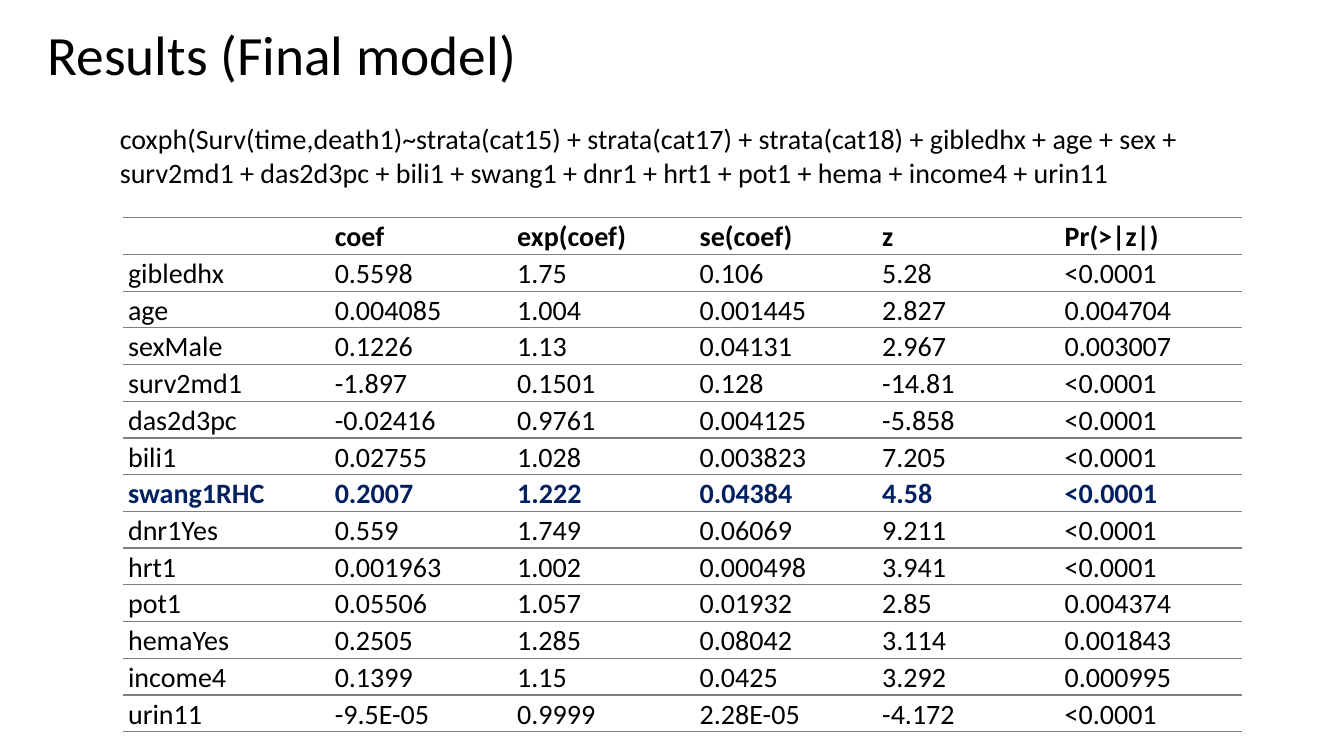
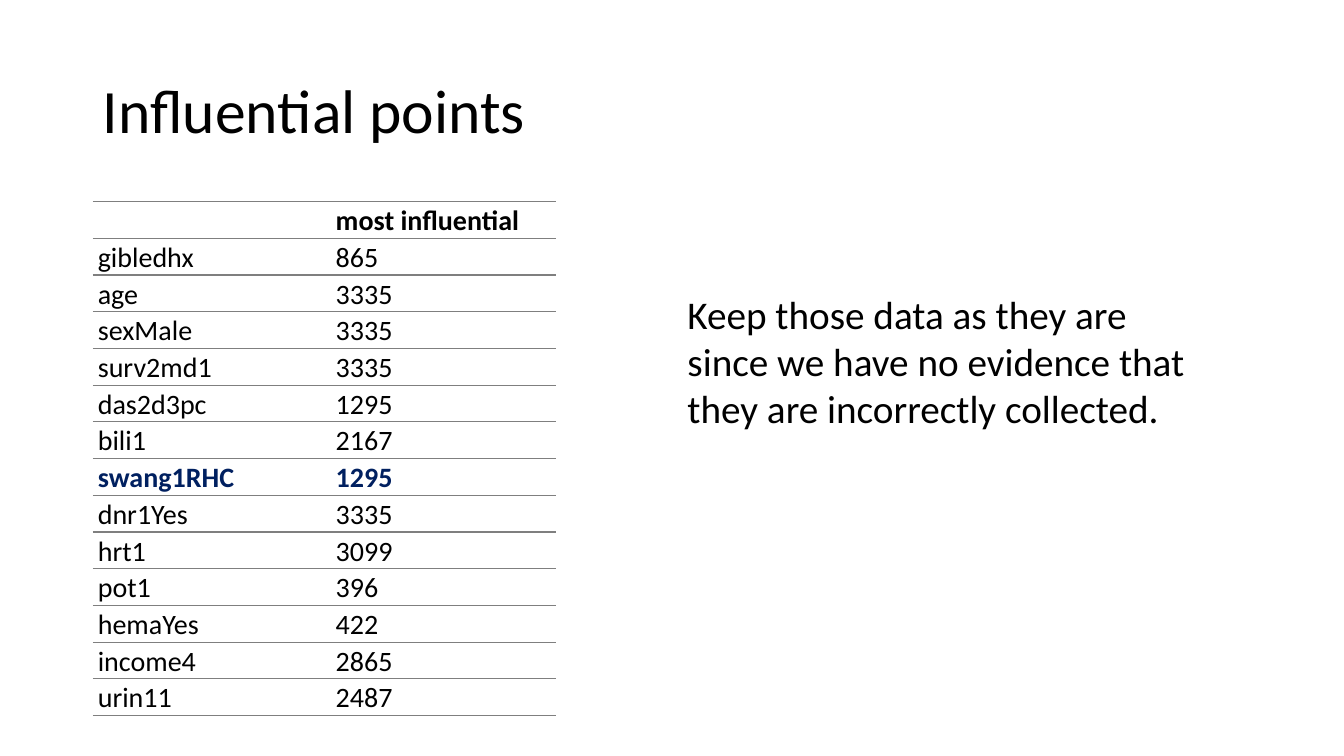
from lxml import etree
from pptx import Presentation
from pptx import util as u
from pptx.dml.color import RGBColor
from pptx.enum import text
from pptx.oxml import ns

SCALE = 9144
FONT = "Calibri"
BLACK = RGBColor(0x00, 0x00, 0x00)
NAVY = RGBColor(0x00, 0x20, 0x60)
GRAY = RGBColor(0x7F, 0x7F, 0x7F)
PLAIN_TABLE = "{2D5ABB26-0587-4C30-8999-92F81FD0307C}"
TITLE_ONLY = 5
ROW_HEIGHT = 36
HIGHLIGHT = "swang1RHC"

FORMULA = (
    "coxph(Surv(time,death1)~strata(cat15) + strata(cat17) + strata(cat18) + "
    "gibledhx + age + sex + surv2md1 + das2d3pc + bili1 + swang1 + dnr1 + "
    "hrt1 + pot1 + hema + income4 + urin11"
)
CONCLUSION = (
    "Keep those data as they are since we have no evidence that "
    "they are incorrectly collected."
)
MODEL_ROWS = [
    ("", "coef", "exp(coef)", "se(coef)", "z", "Pr(>|z|)"),
    ("gibledhx", "0.5598", "1.75", "0.106", "5.28", "<0.0001"),
    ("age", "0.004085", "1.004", "0.001445", "2.827", "0.004704"),
    ("sexMale", "0.1226", "1.13", "0.04131", "2.967", "0.003007"),
    ("surv2md1", "-1.897", "0.1501", "0.128", "-14.81", "<0.0001"),
    ("das2d3pc", "-0.02416", "0.9761", "0.004125", "-5.858", "<0.0001"),
    ("bili1", "0.02755", "1.028", "0.003823", "7.205", "<0.0001"),
    ("swang1RHC", "0.2007", "1.222", "0.04384", "4.58", "<0.0001"),
    ("dnr1Yes", "0.559", "1.749", "0.06069", "9.211", "<0.0001"),
    ("hrt1", "0.001963", "1.002", "0.000498", "3.941", "<0.0001"),
    ("pot1", "0.05506", "1.057", "0.01932", "2.85", "0.004374"),
    ("hemaYes", "0.2505", "1.285", "0.08042", "3.114", "0.001843"),
    ("income4", "0.1399", "1.15", "0.0425", "3.292", "0.000995"),
    ("urin11", "-9.5E-05", "0.9999", "2.28E-05", "-4.172", "<0.0001"),
]
MOST_INFLUENTIAL = [
    "most influential", "865", "3335", "3335", "3335", "1295", "2167",
    "1295", "3335", "3099", "396", "422", "2865", "2487",
]


def px(length):
    return u.Emu(length * SCALE)


def write(frame, words, size=20, color=BLACK, bold=False, spacing=None):
    para = frame.paragraphs[0]
    para.alignment = text.PP_ALIGN.LEFT
    para.line_spacing = spacing
    if not words:
        return
    span = para.add_run()
    span.text = words
    span.font.name = FONT
    span.font.size = u.Pt(size)
    span.font.bold = bold
    span.font.color.rgb = color


def add_page(deck, title, left, top, width, height, size):
    page = deck.slides.add_slide(deck.slide_layouts[TITLE_ONLY])
    box = page.shapes.title
    box.left, box.top, box.width, box.height = map(px, (left, top, width, height))
    frame = box.text_frame
    frame.auto_size = text.MSO_AUTO_SIZE.NONE
    frame.vertical_anchor = text.MSO_ANCHOR.MIDDLE
    write(frame, title, size=size, spacing=0.9)
    return page


def add_text(page, words, left, top, width, height, size):
    box = page.shapes.add_textbox(*map(px, (left, top, width, height)))
    frame = box.text_frame
    frame.word_wrap = True
    frame.auto_size = text.MSO_AUTO_SIZE.SHAPE_TO_FIT_TEXT
    write(frame, words, size=size)


def rule_cell(cell):
    properties = cell._tc.get_or_add_tcPr()
    for side in ("a:lnT", "a:lnB"):
        line = etree.SubElement(properties, ns.qn(side), w=str(u.Pt(1)))
        fill = etree.SubElement(line, ns.qn("a:solidFill"))
        etree.SubElement(fill, ns.qn("a:srgbClr"), val=str(GRAY))
    cell.fill.background()


def add_table(page, rows, left, top, widths):
    size = (sum(widths), ROW_HEIGHT * len(rows))
    frame = page.shapes.add_table(
        len(rows), len(widths), *map(px, (left, top, *size)))
    table = frame.table
    table.horz_banding = False
    table._tbl.tblPr.find(ns.qn("a:tableStyleId")).text = PLAIN_TABLE
    for column, width in zip(table.columns, widths):
        column.width = px(width)
    for index, (row, values) in enumerate(zip(table.rows, rows)):
        row.height = px(ROW_HEIGHT)
        marked = values[0] == HIGHLIGHT
        for cell, value in zip(row.cells, values):
            cell.margin_left = cell.margin_right = px(5)
            cell.margin_top = cell.margin_bottom = 0
            rule_cell(cell)
            write(cell.text_frame, value, color=NAVY if marked else BLACK,
                  bold=marked or index == 0, spacing=1.07)


def add_model_page(deck):
    page = add_page(deck, "Results (Final model)", 37, 20, 1150, 74, size=39.6)
    add_table(page, MODEL_ROWS, 122, 216, [205] + [181] * 5)
    add_text(page, FORMULA, 109, 116, 1123, 77, size=20)


def add_influence_page(deck):
    page = add_page(deck, "Influential points", 92, 40, 1150, 145, size=44)
    names = [row[0] for row in MODEL_ROWS]
    add_table(page, list(zip(names, MOST_INFLUENTIAL)), 92, 200, [236, 223])
    add_text(page, CONCLUSION, 672, 283, 542, 150, size=28)


def main():
    deck = Presentation()
    deck.slide_width, deck.slide_height = px(1333), px(750)
    add_model_page(deck)
    add_influence_page(deck)
    deck.save("out.pptx")


if __name__ == "__main__":
    main()
